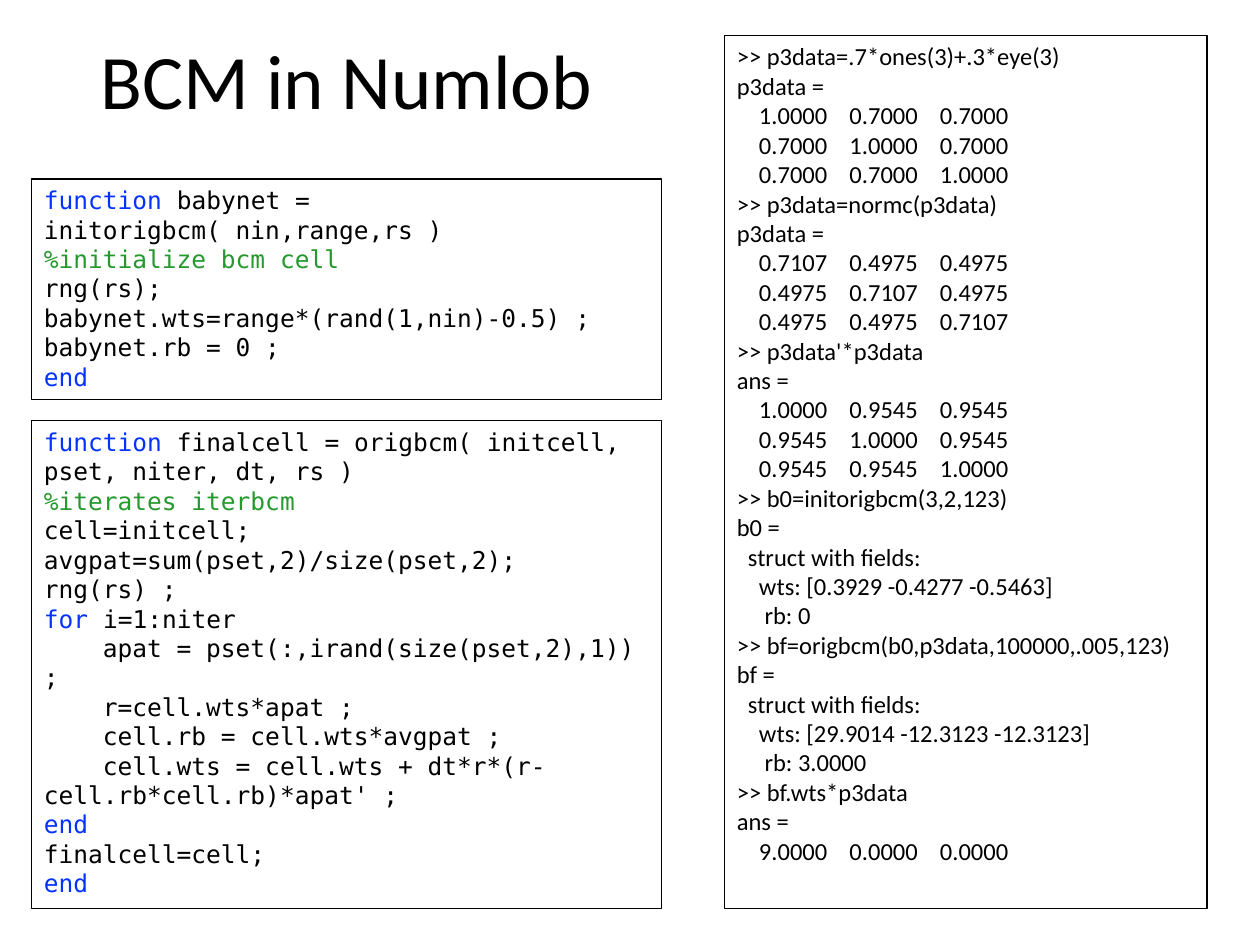
from dataclasses import dataclass

from pptx import Presentation
from pptx.dml.color import RGBColor
from pptx.enum.text import MSO_ANCHOR as Anchor, PP_ALIGN as Align
from pptx.util import Inches, Pt


@dataclass(frozen=True)
class Theme:
    sans: str = "Calibri"
    mono: str = "DejaVu Sans Mono"
    title_size: float = 44
    code_size: float = 14
    border_width: float = 0.75
    ink: str = "000000"
    keyword: str = "0433FF"
    comment: str = "25992D"


THEME = Theme()
KEYWORDS = {"function", "for", "end"}

INIT_CODE = """\
function babynet = initorigbcm( nin,range,rs )
%initialize bcm cell
rng(rs);
babynet.wts=range*(rand(1,nin)-0.5) ;
babynet.rb = 0 ;
end"""

TRAINING_CODE = """\
function finalcell = origbcm( initcell, pset, niter, dt, rs )
%iterates iterbcm
cell=initcell;
avgpat=sum(pset,2)/size(pset,2);
rng(rs) ;
for i=1:niter
    apat = pset(:,irand(size(pset,2),1)) ;
    r=cell.wts*apat ;
    cell.rb = cell.wts*avgpat ;
    cell.wts = cell.wts + dt*r*(r-cell.rb*cell.rb)*apat' ;
end
finalcell=cell;
end"""

SESSION = """\
>> p3data=.7*ones(3)+.3*eye(3)
p3data =
    1.0000    0.7000    0.7000
    0.7000    1.0000    0.7000
    0.7000    0.7000    1.0000
>> p3data=normc(p3data)
p3data =
    0.7107    0.4975    0.4975
    0.4975    0.7107    0.4975
    0.4975    0.4975    0.7107
>> p3data'*p3data
ans =
    1.0000    0.9545    0.9545
    0.9545    1.0000    0.9545
    0.9545    0.9545    1.0000
>> b0=initorigbcm(3,2,123)
b0 =
  struct with fields:
    wts: [0.3929 -0.4277 -0.5463]
     rb: 0
>> bf=origbcm(b0,p3data,100000,.005,123)
bf =
  struct with fields:
    wts: [29.9014 -12.3123 -12.3123]
     rb: 3.0000
>> bf.wts*p3data
ans =
    9.0000    0.0000    0.0000"""


def plain(line):
    return [(line, THEME.ink)]


def highlight(line):
    """Split a line of code into (text, colour) pieces."""
    if line.startswith("%"):
        return [(line, THEME.comment)]
    first, space, rest = line.partition(" ")
    if first not in KEYWORDS:
        return plain(line)
    pieces = [(first, THEME.keyword)]
    if rest:
        pieces.append((space + rest, THEME.ink))
    return pieces


def add_text(slide, text, left, top, width, height, *, font=THEME.sans,
             size=THEME.code_size, align=Align.LEFT, anchor=Anchor.TOP,
             colouring=plain):
    box = slide.shapes.add_textbox(Inches(left), Inches(top),
                                   Inches(width), Inches(height))
    frame = box.text_frame
    frame.word_wrap = True
    frame.vertical_anchor = anchor
    for index, line in enumerate(text.split("\n")):
        paragraph = frame.add_paragraph() if index else frame.paragraphs[0]
        paragraph.alignment = align
        for piece, colour in colouring(line):
            run = paragraph.add_run()
            run.text = piece
            run.font.name = font
            run.font.size = Pt(size)
            run.font.color.rgb = RGBColor.from_string(colour)
    return box


def add_panel(slide, text, left, top, width, height, **text_format):
    panel = add_text(slide, text, left, top, width, height, **text_format)
    panel.line.color.rgb = RGBColor.from_string(THEME.ink)
    panel.line.width = Pt(THEME.border_width)


def main():
    deck = Presentation()
    deck.slide_width, deck.slide_height = Inches(10), Inches(7.5)
    slide = deck.slides.add_slide(deck.slide_layouts[6])

    left, width = 0.25, 5
    add_text(slide, "BCM in Numlob", left, 0, width, 1.25,
             size=THEME.title_size, align=Align.CENTER, anchor=Anchor.MIDDLE)
    for code, top, height in ((INIT_CODE, 1.42, 1.75),
                              (TRAINING_CODE, 3.34, 3.87)):
        add_panel(slide, code, left, top, width, height,
                  font=THEME.mono, colouring=highlight)
    add_panel(slide, SESSION, 5.75, 0.28, 3.83, 6.93)

    deck.save("out.pptx")


if __name__ == "__main__":
    main()
